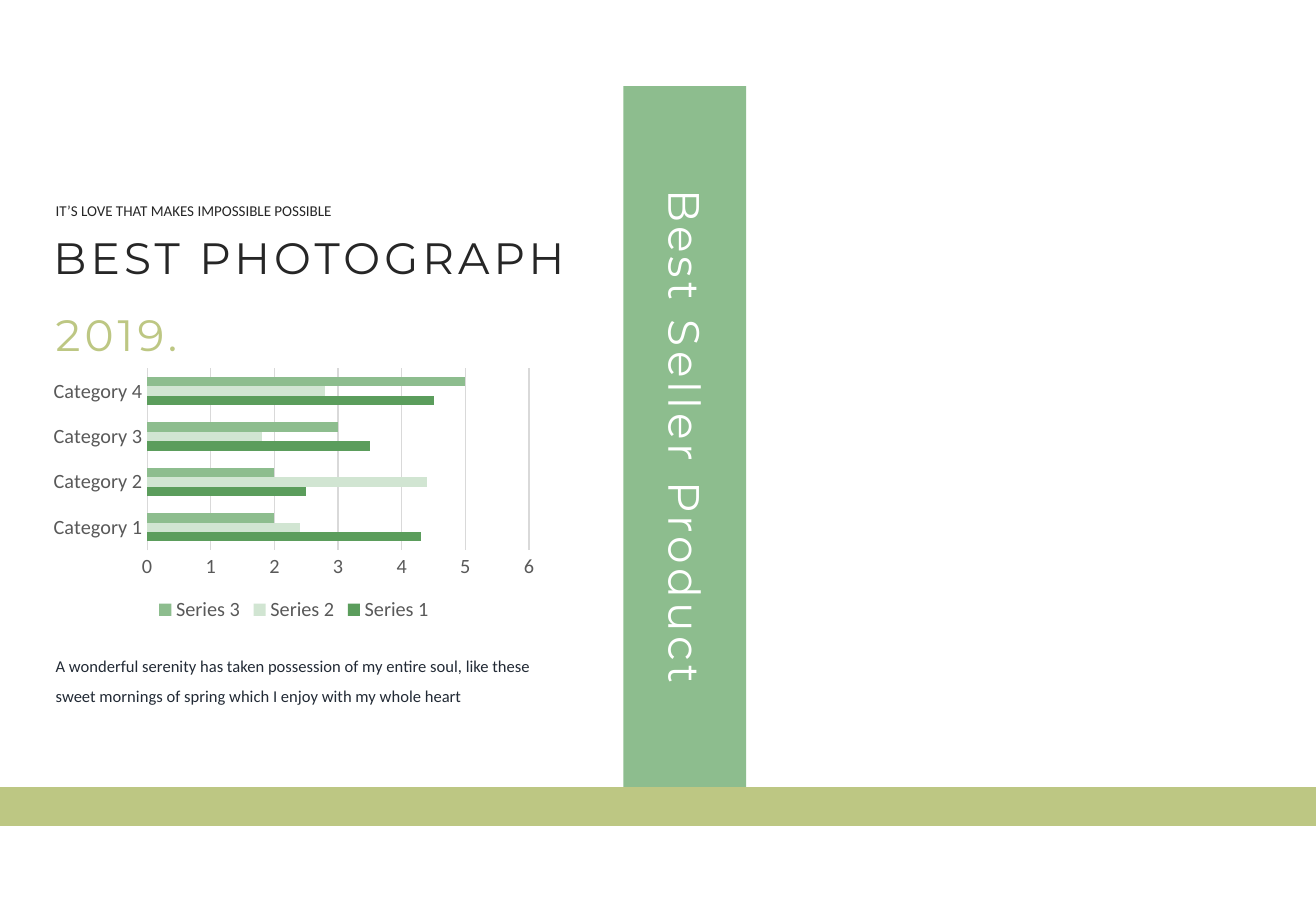
from pptx import Presentation, util as u
from pptx.chart.data import CategoryChartData
from pptx.dml.color import RGBColor
from pptx.enum import chart as charts, shapes, text

WIDTH, HEIGHT = u.Inches(10.83), u.Inches(7.5)
GREEN, OLIVE, WHITE, INK, NAVY = "8DBD8E", "BDC783", "FFFFFF", "262626", "222A35"
GREY, GRID = "595959", "D9D9D9"
LEFT, COLUMN = 3.32, 38.04

BLOCKS = [
    ((0, 86.4, 100, 4.27), 0, OLIVE),
    ((25.39, 41.2, 53.28, 13.47), 90, GREEN),
]
HEADING = dict(size=26, font="Montserrat", spacing=2.4)
TITLE = ("BEST PHOTOGRAPH", (3.14, 24.67, 42.84, 7.2), dict(HEADING, color=INK))
TEXTS = [
    ("Best Seller Product", (27.42, 44.27, 49.31, 7.2),
     dict(HEADING, color=WHITE, rotation=90, align=text.PP_ALIGN.CENTER)),
    ("IT’S LOVE THAT MAKES IMPOSSIBLE POSSIBLE", (LEFT, 21.47, 23.27, 3.33),
     dict(size=8.9, color=INK, wrap=False)),
    ("2019.", (LEFT, 33.07, 13.2, 7.2), dict(HEADING, color=OLIVE)),
    ("A wonderful serenity has taken possession of my entire soul, like these "
     "sweet mornings of spring which I enjoy with my whole heart",
     (LEFT, 70.27, COLUMN, 7.6), dict(size=9.8, color=NAVY, line_spacing=1.5)),
]
CHART_BOX = (LEFT, 39.87, COLUMN, 28.93)
CATEGORIES = ["Category 1", "Category 2", "Category 3", "Category 4"]
SERIES = [
    ("Series 1", (4.3, 2.5, 3.5, 4.5), "5B9D5C"),
    ("Series 2", (2.4, 4.4, 1.8, 2.8), "D1E5D2"),
    ("Series 3", (2, 2, 3, 5), GREEN),
]


def rgb(value):
    return RGBColor.from_string(value)


def place(box):
    return [int(share * side / 100) for share, side in zip(box, (WIDTH, HEIGHT) * 2)]


def set_font(font, size, color, name="Calibri"):
    font.size, font.name = u.Pt(size), name
    font.color.rgb = rgb(color)


def write(shape, words, size, color, font="Calibri", spacing=0, rotation=0,
          align=text.PP_ALIGN.LEFT, wrap=True, line_spacing=None):
    shape.rotation = rotation
    frame = shape.text_frame
    frame.text = words
    frame.word_wrap = wrap
    frame.auto_size = text.MSO_AUTO_SIZE.SHAPE_TO_FIT_TEXT
    frame.vertical_anchor = text.MSO_ANCHOR.TOP
    paragraph = frame.paragraphs[0]
    paragraph.alignment = align
    paragraph.line_spacing = line_spacing
    set_font(paragraph.font, size, color, font)
    if spacing:
        paragraph.runs[0]._r.get_or_add_rPr().set("spc", str(int(spacing * 100)))


def add_block(slide, box, rotation, color):
    block = slide.shapes.add_shape(shapes.MSO_SHAPE.RECTANGLE, *place(box))
    block.rotation = rotation
    block.shadow.inherit = False
    block.fill.solid()
    block.fill.fore_color.rgb = rgb(color)
    block.line.fill.background()


def add_bar_chart(slide):
    data = CategoryChartData()
    data.categories = CATEGORIES
    for name, values, _ in SERIES:
        data.add_series(name, values)
    chart = slide.shapes.add_chart(
        charts.XL_CHART_TYPE.BAR_CLUSTERED, *place(CHART_BOX), data).chart
    chart.has_title = False
    set_font(chart.font, 10, "000000")
    chart.has_legend = True
    chart.legend.position = charts.XL_LEGEND_POSITION.BOTTOM
    chart.legend.include_in_layout = False
    set_font(chart.legend.font, 12, GREY)
    for axis in (chart.category_axis, chart.value_axis):
        axis.major_tick_mark = axis.minor_tick_mark = charts.XL_TICK_MARK.NONE
        set_font(axis.tick_labels.font, 12, GREY)
    chart.value_axis.format.line.fill.background()
    for line in (chart.category_axis.format.line,
                 chart.value_axis.major_gridlines.format.line):
        line.color.rgb = rgb(GRID)
        line.width = u.Pt(0.75)
    plot = chart.plots[0]
    plot.gap_width = 182
    plot.vary_by_categories = False
    for series, (_, _, color) in zip(plot.series, SERIES):
        series.format.fill.solid()
        series.format.fill.fore_color.rgb = rgb(color)


def main():
    presentation = Presentation()
    presentation.slide_width, presentation.slide_height = WIDTH, HEIGHT
    slide = presentation.slides.add_slide(presentation.slide_layouts[5])
    for block in BLOCKS:
        add_block(slide, *block)
    words, box, style = TITLE
    title = slide.shapes.title
    title.left, title.top, title.width, title.height = place(box)
    write(title, words, **style)
    add_bar_chart(slide)
    for words, box, style in TEXTS:
        write(slide.shapes.add_textbox(*place(box)), words, **style)
    presentation.save("out.pptx")


if __name__ == "__main__":
    main()
